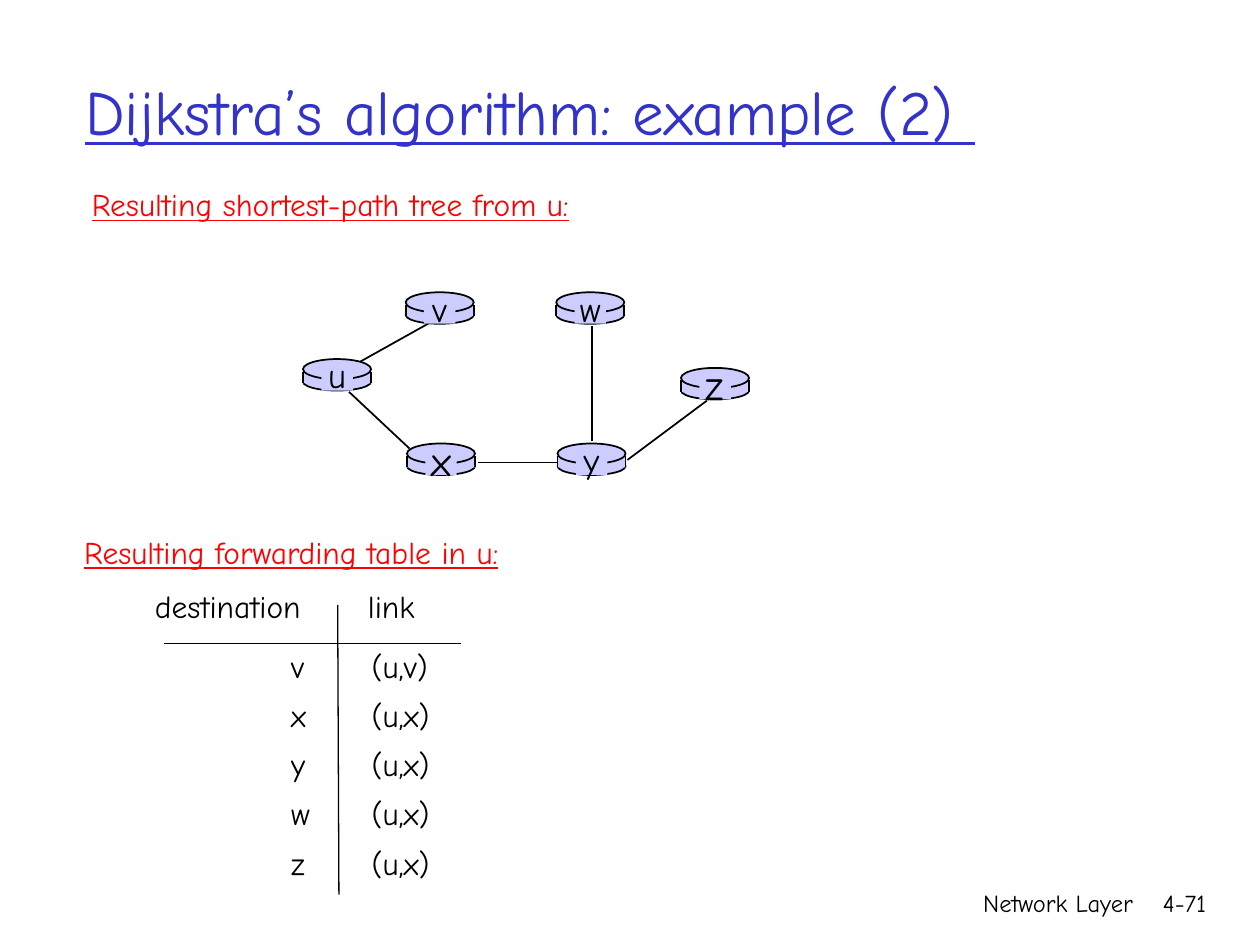
from lxml import etree
from pptx import Presentation
from pptx import util as u
from pptx.dml.color import RGBColor
from pptx.enum import shapes, text
from pptx.oxml.ns import qn

COLORS = {"ink": "000000", "title": "3333CC", "heading": "FF0000", "router": "CCCCFF"}
FONT = "Comic Neue"
LEFT, CENTER, RIGHT = text.PP_ALIGN.LEFT, text.PP_ALIGN.CENTER, text.PP_ALIGN.RIGHT
TOP, MIDDLE = text.MSO_ANCHOR.TOP, text.MSO_ANCHOR.MIDDLE

presentation = Presentation()
presentation.slide_width = u.Inches(10)
presentation.slide_height = u.Inches(7.5)
CELL = presentation.slide_width / 100  # the slide is a grid of 100 columns by 75 rows
slide = presentation.slides.add_slide(presentation.slide_layouts[6])


def write(frame, words, size, color="ink", align=LEFT, underline=False):
    """Put one styled run into the first paragraph of a text frame."""
    paragraph = frame.paragraphs[0]
    paragraph.alignment = align
    run = paragraph.add_run()
    run.text = words
    run.font.name = FONT
    run.font.size = u.Pt(size)
    run.font.underline = underline
    run.font.color.rgb = RGBColor.from_string(COLORS[color])


def draw_line(start, end, width):
    """Draw a straight line between two (column, row) points."""
    ends = [round(value * CELL) for value in (*start, *end)]
    line = slide.shapes.add_connector(shapes.MSO_CONNECTOR.STRAIGHT, *ends)
    line.line.color.rgb = RGBColor.from_string(COLORS["ink"])
    line.line.width = u.Pt(width)
    etree.SubElement(line._element.spPr, qn("a:effectLst"))


# Links of the shortest-path tree
links = [
    ((28.6, 28.7), (34.5, 25.4)),  # u-v
    ((27.7, 31.1), (32.5, 35.6)),  # u-x
    ((37.9, 36.7), (44.3, 36.7)),  # x-y
    ((47, 25.9), (47, 35)),        # w-y
    ((49.8, 36.5), (56.1, 31.8)),  # y-z
]
for start, end in links:
    draw_line(start, end, 1)

# Routers: a flat cylinder whose front is covered by a patch behind the label
OVAL, BOX = shapes.MSO_SHAPE.OVAL, shapes.MSO_SHAPE.RECTANGLE
WIDTH = 5.4
base = (OVAL, 0, 1.1, WIDTH, 1.4)
body = (BOX, 0, 1, WIDTH, 0.9)
lid = (OVAL, 0, 0, WIDTH, 1.6)
patch = (BOX, 1.45, 0.2, 2.5, 2.3)
routers = [
    ("u", 24.05, 28.5, 20),
    ("x", 32.3, 35.2, 24),
    ("v", 32.2, 23.2, 20),
    ("w", 44.15, 23.2, 20),
    ("y", 44.25, 35.2, 20),
    ("z", 54.05, 29.2, 24),
]
labels = []
for name, column, row, size in routers:
    for kind, across, down, width, height in (base, body, lid, patch):
        area = [round(value * CELL) for value in (column + across, row + down, width, height)]
        shape = slide.shapes.add_shape(kind, *area)
        shape.shadow.inherit = False
        shape.fill.solid()
        shape.fill.fore_color.rgb = RGBColor.from_string(COLORS["router"])
        if kind == OVAL:
            shape.line.color.rgb = RGBColor.from_string(COLORS["ink"])
            shape.line.width = u.Pt(1)
        else:
            shape.line.fill.background()
    for side in (column, column + WIDTH):
        draw_line((side, row + 1), (side, row + 1.9), 1)
    label_height = 4.3 if size == 20 else 5
    center = row + 1.25
    labels.append((name, column + 0.7, center - label_height / 2, 4, label_height,
                   size, "ink", CENTER, False, MIDDLE))

# Text boxes: words, column, row, width, height, size, colour, alignment, underline, anchor
texts = labels + [
    ("Dijkstra’s algorithm: example (2) ", 5.8, 2.5, 85, 12.5, 36, "title", LEFT, True, MIDDLE),
    ("Resulting shortest-path tree from u:", 6.3, 14.2, 44.9, 4, 18, "heading", LEFT, True, TOP),
    ("Resulting forwarding table in u:", 5.7, 41.8, 38.4, 4, 18, "heading", LEFT, True, TOP),
    ("Network Layer", 59.2, 70, 31.7, 5, 14, "ink", RIGHT, False, TOP),
    ("4-71", 89.3, 70, 7.4, 5, 14, "ink", RIGHT, False, TOP),
]
for words, column, row, width, height, size, color, align, underline, anchor in texts:
    area = [round(value * CELL) for value in (column, row, width, height)]
    frame = slide.shapes.add_textbox(*area).text_frame
    frame.word_wrap = words not in [label[0] for label in labels]
    frame.vertical_anchor = anchor
    write(frame, words, size, color, align, underline)

# Forwarding table
entries = [
    ("destination", "link"),
    ("v", "(u,v)"),
    ("x", "(u,x)"),
    ("y", "(u,x)"),
    ("w", "(u,x)"),
    ("z", "(u,x)"),
]
HEADER_ROW, ENTRY_ROW = 5.6, 3.9
columns = (15.5, 9.8)
table_height = HEADER_ROW + ENTRY_ROW * (len(entries) - 1)
area = [round(value * CELL) for value in (11.3, 45.5, sum(columns), table_height)]
table = slide.shapes.add_table(len(entries), len(columns), *area).table
NO_STYLE_NO_GRID = "{2D5ABB26-0587-4C30-8999-92F81FD0307C}"
table._tbl.tblPr.find(qn("a:tableStyleId")).text = NO_STYLE_NO_GRID
table.first_row = table.horz_banding = False
for index, width in enumerate(columns):
    table.columns[index].width = round(width * CELL)
for row, entry in enumerate(entries):
    table.rows[row].height = round((ENTRY_ROW if row else HEADER_ROW) * CELL)
    indents = (11.8, 2.7) if row else (1, 2.4)
    for column, words in enumerate(entry):
        cell = table.cell(row, column)
        cell.fill.background()
        cell.vertical_anchor = MIDDLE
        cell.margin_top = cell.margin_bottom = cell.margin_right = 0
        cell.margin_left = round(indents[column] * CELL)
        write(cell.text_frame, words, 18)

draw_line((26.8, 48), (26.9, 71), 0.75)
draw_line((13, 51.1), (36.6, 51.1), 0.75)

presentation.save("out.pptx")
